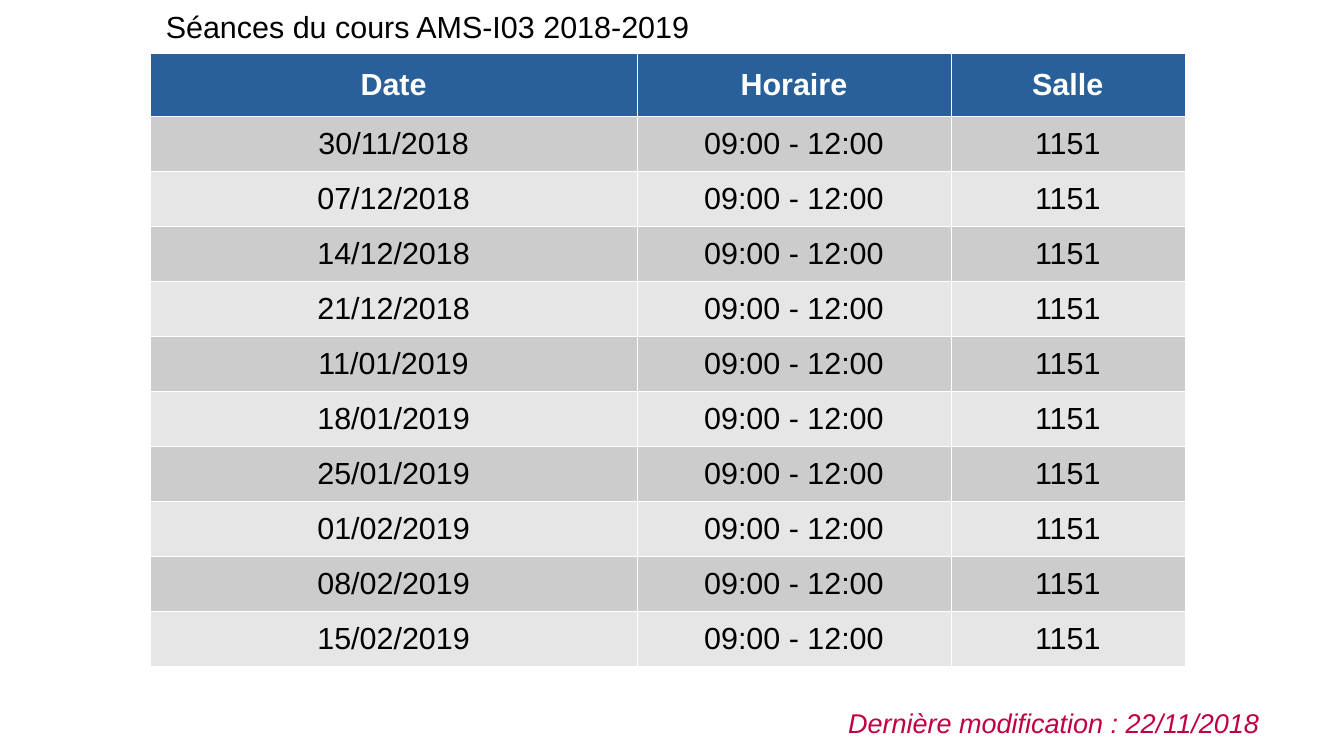
from dataclasses import dataclass

from lxml.etree import SubElement
from pptx import Presentation
from pptx.dml.color import RGBColor
from pptx.enum.text import MSO_ANCHOR, MSO_AUTO_SIZE, PP_ALIGN
from pptx.oxml.ns import qn
from pptx.shapes.autoshape import Shape
from pptx.slide import Slide
from pptx.table import _Cell
from pptx.text.text import TextFrame
from pptx.util import Cm, Pt

FONT = "Arial"
COLORS = {
    "header": "2A6099",
    "odd": "CCCCCC",
    "even": "E6E6E6",
    "white": "FFFFFF",
    "black": "000000",
    "note": "BF0041",
}


@dataclass(frozen=True)
class TextStyle:
    size: int
    color: str
    bold: bool = False
    italic: bool = False
    align: PP_ALIGN = PP_ALIGN.LEFT


@dataclass(frozen=True)
class Label:
    text: str
    left: float
    top: float
    width: float
    height: float
    style: TextStyle


@dataclass(frozen=True)
class Session:
    date: str
    hours: str = "09:00 - 12:00"
    room: str = "1151"


HEADER_STYLE = TextStyle(18, "white", bold=True, align=PP_ALIGN.CENTER)
BODY_STYLE = TextStyle(18, "black", align=PP_ALIGN.CENTER)

TITLE = Label("Séances du cours AMS-I03 2018-2019",
              3.2, 0.03, 12, 0.97, TextStyle(18, "black"))
NOTE = Label("Dernière modification : 22/11/2018",
             17.42, 14.6, 9.12, 0.89, TextStyle(16, "note", italic=True))

HEADINGS = ("Date", "Horaire", "Salle")
SESSIONS = [Session(date) for date in (
    "30/11/2018", "07/12/2018", "14/12/2018", "21/12/2018", "11/01/2019",
    "18/01/2019", "25/01/2019", "01/02/2019", "08/02/2019", "15/02/2019",
)]

TABLE_LEFT, TABLE_TOP = 3.13, 1.11
COLUMN_WIDTHS = (10.14, 6.54, 4.87)
TABLE_HEIGHT, HEADER_HEIGHT = 12.78, 1.31


def rgb(name: str) -> RGBColor:
    return RGBColor.from_string(COLORS[name])


def write(tf: TextFrame, text: str, style: TextStyle) -> None:
    tf.text = text
    p = tf.paragraphs[0]
    p.alignment = style.align
    font = p.runs[0].font
    font.name, font.size = FONT, Pt(style.size)
    font.bold, font.italic = style.bold, style.italic
    font.color.rgb = rgb(style.color)


def place_label(sp: Shape, label: Label) -> None:
    sp.left, sp.top = Cm(label.left), Cm(label.top)
    sp.width, sp.height = Cm(label.width), Cm(label.height)
    tf = sp.text_frame
    write(tf, label.text, label.style)
    tf.vertical_anchor = MSO_ANCHOR.TOP
    tf.word_wrap = False
    tf.auto_size = MSO_AUTO_SIZE.NONE


def add_borders(cell: _Cell) -> None:
    """Draw a white hairline on each side; call before the cell is filled."""
    tc_pr = cell._tc.get_or_add_tcPr()
    for side in ("a:lnL", "a:lnR", "a:lnT", "a:lnB"):
        ln = SubElement(tc_pr, qn(side), w=str(Pt(0.06)))
        fill = SubElement(ln, qn("a:solidFill"))
        SubElement(fill, qn("a:srgbClr"), val=COLORS["white"])


def format_cell(cell: _Cell, text: str, fill: str, style: TextStyle) -> None:
    write(cell.text_frame, text, style)
    cell.vertical_anchor = MSO_ANCHOR.MIDDLE
    add_borders(cell)
    cell.fill.solid()
    cell.fill.fore_color.rgb = rgb(fill)


def add_schedule(s: Slide) -> None:
    rows = [HEADINGS] + [(x.date, x.hours, x.room) for x in SESSIONS]
    table = s.shapes.add_table(
        len(rows), len(HEADINGS), Cm(TABLE_LEFT), Cm(TABLE_TOP),
        Cm(sum(COLUMN_WIDTHS)), Cm(TABLE_HEIGHT)).table
    for column, width in zip(table.columns, COLUMN_WIDTHS):
        column.width = Cm(width)
    session_height = (TABLE_HEIGHT - HEADER_HEIGHT) / len(SESSIONS)
    for i, values in enumerate(rows):
        is_header = i == 0
        table.rows[i].height = Cm(HEADER_HEIGHT if is_header else session_height)
        fill = "header" if is_header else ("odd" if i % 2 else "even")
        style = HEADER_STYLE if is_header else BODY_STYLE
        for j, value in enumerate(values):
            format_cell(table.cell(i, j), value, fill, style)


def main() -> None:
    prs = Presentation()
    prs.slide_width, prs.slide_height = Cm(28), Cm(15.75)
    s = prs.slides.add_slide(prs.slide_layouts[5])
    add_schedule(s)
    place_label(s.shapes.title, TITLE)
    place_label(s.shapes.add_textbox(0, 0, 0, 0), NOTE)
    prs.save("out.pptx")


if __name__ == "__main__":
    main()
